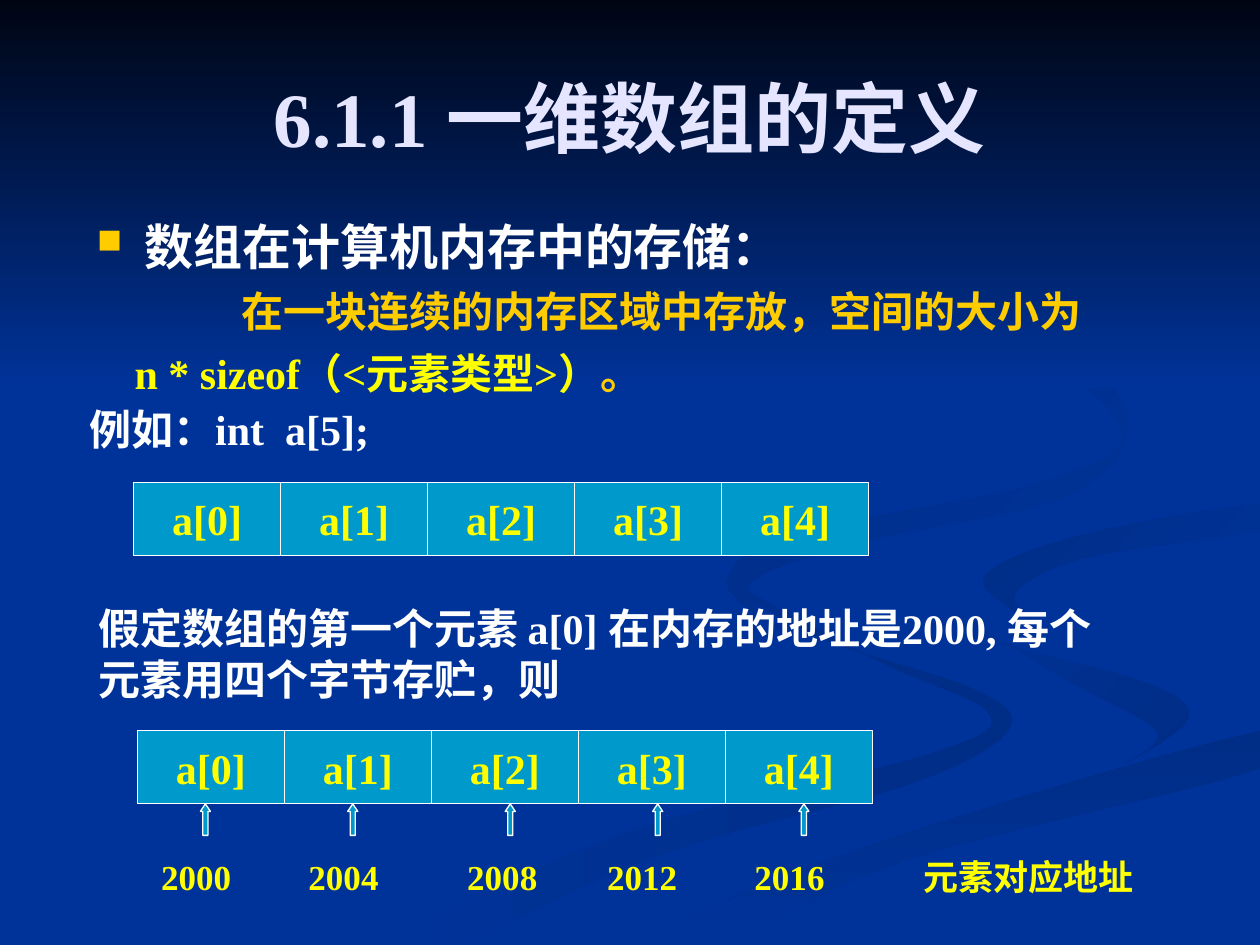
"""Build the slide on one-dimensional array definition and its memory layout."""
from lxml.etree import SubElement
from pptx import Presentation
from pptx.dml.color import RGBColor
from pptx.enum.shapes import MSO_SHAPE
from pptx.enum.text import MSO_ANCHOR, PP_ALIGN
from pptx.oxml.ns import qn
from pptx.util import Inches, Pt

THEME = {
    "background": "003399", "swirl": "002D86", "title": "E5E5FF", "white": "FFFFFF",
    "gold": "FFCC00", "yellow": "FFFF00", "cell": "0099CC", "night": "000514",
    "title_size": 44, "heading_size": 28, "text_size": 24, "address_size": 20,
    "latin": "Times New Roman", "chinese": "Noto Sans CJK SC",
}


def add_run(paragraph, text, color, size):
    run = paragraph.add_run()
    run.text = text
    values = {"name": THEME["latin"], "size": Pt(THEME[size]), "bold": True}
    for name, value in values.items():
        setattr(run.font, name, value)
    run.font.color.rgb = RGBColor.from_string(THEME[color])
    SubElement(run.font._element, qn("a:ea"), typeface=THEME["chinese"])


def add_text_box(left, top, width, height):
    frame = slide.shapes.add_textbox(
        Inches(left), Inches(top), Inches(width), Inches(height)).text_frame
    frame.word_wrap = True
    return frame


presentation = Presentation()
presentation.slide_width, presentation.slide_height = Inches(10), Inches(7.5)
slide = presentation.slides.add_slide(presentation.slide_layouts[5])
slide.background.fill.solid()
slide.background.fill.fore_color.rgb = RGBColor.from_string(THEME["background"])

swirls = [
    ("background", "swirl", 0, [
        (5.75, 4.6), (6.5, 5.06), (7.75, 5.48), (8, 5.8), (7.2, 6.23), (5.3, 6.76),
        (3.6, 7.5), (3, 7.5), (5, 6.6), (7.4, 5.98), (7.85, 5.66), (7, 5.26)]),
    ("background", "swirl", 45, [
        (7.24, 4.64), (7.75, 5.04), (9.1, 5.42), (9.43, 5.7), (8.94, 6.05),
        (9.18, 5.8), (8.4, 5.36)]),
    ("swirl", "background", 90, [
        (5, 7.5), (7, 6.68), (10, 5.8), (10, 6.1), (7.2, 6.82), (5.7, 7.5)]),
    ("swirl", "background", 45, [
        (7.8, 4.6), (8.5, 4.27), (10, 4), (10, 4.2), (8.6, 4.43), (8.05, 4.72), (8.26, 4.96)]),
    ("swirl", "background", 45, [
        (7.62, 2.33), (8.65, 2.9), (8.94, 3.44), (8.4, 3.96), (6.83, 4.3), (5.95, 4.63),
        (6.2, 5), (5.77, 4.62), (6.3, 4.24), (8.3, 3.82), (8.89, 3.35)]),
]
backdrop = []
steps = 6
for start_color, end_color, angle, knots in swirls:
    curve = []
    for index, knot in enumerate(knots):
        neighbors = zip(knots[index - 1], knot, knots[(index + 1) % len(knots)],
                        knots[(index + 2) % len(knots)])
        axes = list(zip(neighbors, (10, 7.5)))
        for step in range(steps):
            t = step / steps
            curve.append([
                Inches(min(limit, b + t * (c - a) / 2 + t**2 * (2*a - 5*b + 4*c - d) / 2
                           + t**3 * (3*b - a - 3*c + d) / 2))
                for (a, b, c, d), limit in axes])
    builder = slide.shapes.build_freeform(*curve[0])
    builder.add_line_segments(curve[1:], close=True)
    backdrop.append((builder.convert_to_shape(), start_color, end_color, angle))

sky = slide.shapes.add_shape(MSO_SHAPE.RECTANGLE, 0, 0, Inches(10), Inches(3.08))
backdrop.append((sky, "night", "background", 90))
for shape, start_color, end_color, angle in backdrop:
    shape.shadow.inherit = False
    shape.line.fill.background()
    shape.fill.gradient()
    shape.fill.gradient_angle = (360 - angle) % 360
    for stop, color in zip(shape.fill.gradient_stops, (start_color, end_color)):
        stop.color.rgb = RGBColor.from_string(THEME[color])

title = slide.shapes.title
title.element.getparent().append(title.element)
title_box = {"left": 0.5, "top": 0.3, "width": 9, "height": 1.25}
for name, value in title_box.items():
    setattr(title, name, Inches(value))
title.text_frame.vertical_anchor = MSO_ANCHOR.MIDDLE
paragraph = title.text_frame.paragraphs[0]
paragraph.alignment = PP_ALIGN.CENTER
add_run(paragraph, "6.1.1 一维数组的定义", "title", "title_size")

storage = add_text_box(0.67, 1.62, 8.61, 1.54)
paragraph = storage.paragraphs[0]
paragraph.line_spacing = Pt(37)
properties = paragraph._p.get_or_add_pPr()
properties.set("marL", str(Inches(0.38)))
properties.set("indent", str(Inches(-0.38)))
SubElement(SubElement(properties, qn("a:buClr")), qn("a:srgbClr"), val=THEME["gold"])
SubElement(properties, qn("a:buSzPct"), val="70000")
SubElement(properties, qn("a:buChar"), char="■")
add_run(paragraph, "数组在计算机内存中的存储：", "white", "heading_size")
storage_lines = [
    (1.15, [("在一块连续的内存区域中存放，空间的大小为", "gold")]),
    (0.3, [("n * sizeof（<元素类型>）", "yellow"), ("。", "gold")]),
]
for indent, runs in storage_lines:
    paragraph = storage.add_paragraph()
    paragraph.space_before, paragraph.line_spacing = Pt(6), Pt(29)
    paragraph._p.get_or_add_pPr().set("indent", str(Inches(indent)))
    for text, color in runs:
        add_run(paragraph, text, color, "text_size")

notes = [
    (0.61, 3.12, 2.76, 0.5, 31, "例如：int  a[5];"),
    (0.68, 4.73, 8.12, 0.9, 29, "假定数组的第一个元素 a[0] 在内存的地址是2000, 每个元素用四个字节存贮，则"),
]
for left, top, width, height, spacing, text in notes:
    paragraph = add_text_box(left, top, width, height).paragraphs[0]
    paragraph.line_spacing = Pt(spacing)
    add_run(paragraph, text, "white", "text_size")

cell_width = 7 / 6
blocks = []
for row_left, row_top in [(1.06, 3.83), (1.09, 5.8)]:
    for index in range(5):
        cell = slide.shapes.add_shape(
            MSO_SHAPE.RECTANGLE, Inches(row_left + index * cell_width), Inches(row_top),
            Inches(cell_width), Inches(0.58))
        cell.text_frame.vertical_anchor = MSO_ANCHOR.MIDDLE
        cell.text_frame.word_wrap = False
        paragraph = cell.text_frame.paragraphs[0]
        paragraph.alignment = PP_ALIGN.CENTER
        add_run(paragraph, f"a[{index}]", "yellow", "text_size")
        blocks.append(cell)

for left in (1.59, 2.76, 4.01, 5.18, 6.34):
    arrow = slide.shapes.add_shape(
        MSO_SHAPE.UP_ARROW, Inches(left), Inches(6.38), Inches(0.08), Inches(0.25))
    arrow.adjustments[0], arrow.adjustments[1] = 0.5, 0.75
    blocks.append(arrow)

for block in blocks:
    block.shadow.inherit = False
    block.fill.solid()
    block.fill.fore_color.rgb = RGBColor.from_string(THEME["cell"])
    block.line.color.rgb = RGBColor.from_string(THEME["white"])
    block.line.width = Pt(0.75)

paragraph = add_text_box(1.18, 6.71, 8.33, 0.44).paragraphs[0]
paragraph.line_spacing = Pt(26)
tab_list = SubElement(paragraph._p.get_or_add_pPr(), qn("a:tabLst"))
for position in (1.17, 2.43, 3.54, 4.71, 6.05):
    SubElement(tab_list, qn("a:tab"), pos=str(Inches(position)), algn="l")
addresses = [str(2000 + 4 * index) for index in range(5)]
add_run(paragraph, "\t".join(addresses + ["元素对应地址"]), "yellow", "address_size")

presentation.save("out.pptx")
